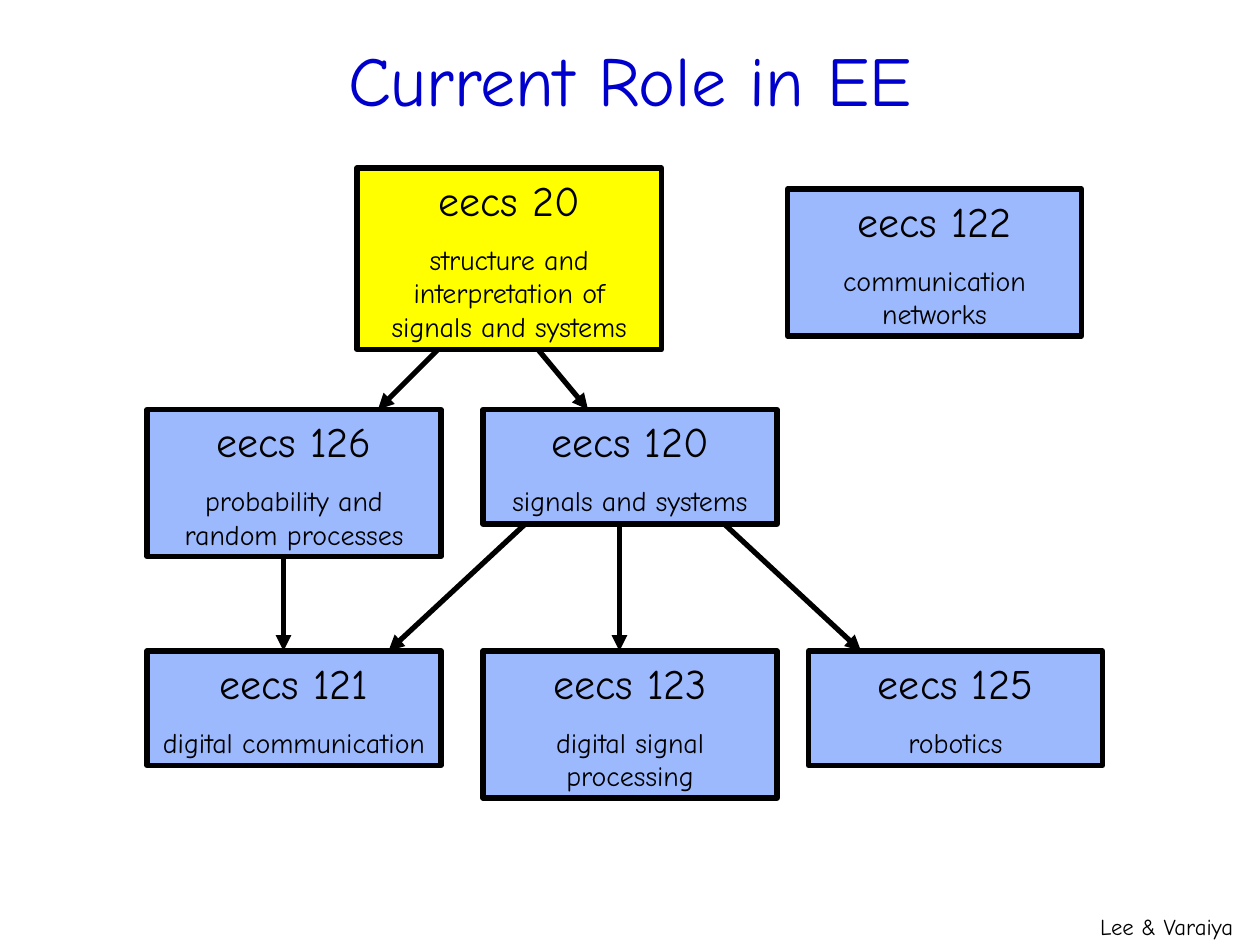
from pptx import Presentation, util as u
from pptx.dml.color import RGBColor
from pptx.enum import shapes, text
from pptx.oxml.ns import qn
from lxml import etree

COLS, ROWS = 120, 90
FONT = "Comic Neue"
BLACK, BLUE, YELLOW, TITLE = "000000", "9DB9FE", "FFFF00", "0000CC"
LEFT, MIDDLE, RIGHT = 14, 46, 77
TOP, SECOND, THIRD = 16, 39, 62
WIDTH, ONE_LINE, TWO_LINES, THREE_LINES = 28, 10.9, 14, 17.3

prs = Presentation()
prs.slide_width, prs.slide_height = u.Inches(10), u.Inches(7.5)
s = prs.slides.add_slide(prs.slide_layouts[6])


def color(value):
    return RGBColor.from_string(value)


def place(*box):
    units = (prs.slide_width / COLS, prs.slide_height / ROWS)
    return [round(v * units[i % 2]) for i, v in enumerate(box)]


def write(p, words, size=16, fill=BLACK, align=text.PP_ALIGN.CENTER, before=0):
    p.alignment = align
    p.space_before = u.Pt(before)
    r = p.add_run()
    r.text = words
    r.font.name, r.font.size = FONT, u.Pt(size)
    r.font.color.rgb = color(fill)


def frame(sp, margin_x, margin_y, anchor=text.MSO_ANCHOR.TOP, wrap=True):
    tf = sp.text_frame
    tf.word_wrap, tf.vertical_anchor = wrap, anchor
    tf.margin_left = tf.margin_right = u.Inches(margin_x)
    tf.margin_top = tf.margin_bottom = u.Inches(margin_y)
    return tf


def title(box, words):
    tf = frame(s.shapes.add_textbox(*place(*box)), 0.09, 0.04, text.MSO_ANCHOR.MIDDLE)
    write(tf.paragraphs[0], words, size=40, fill=TITLE)


def credit(box, words):
    tf = frame(s.shapes.add_textbox(*place(*box)), 0.09, 0.05, wrap=False)
    tf.auto_size = text.MSO_AUTO_SIZE.SHAPE_TO_FIT_TEXT
    write(tf.paragraphs[0], words, size=13, align=text.PP_ALIGN.LEFT)


def course(box, number, topic, fill=BLUE):
    sp = s.shapes.add_shape(shapes.MSO_SHAPE.RECTANGLE, *place(*box))
    sp.shadow.inherit = False
    sp.fill.solid()
    sp.fill.fore_color.rgb = color(fill)
    sp.line.color.rgb = color(BLACK)
    sp.line.width = u.Pt(3)
    tf = frame(sp, 0.1, 0.05)
    tf.auto_size = text.MSO_AUTO_SIZE.SHAPE_TO_FIT_TEXT
    write(tf.paragraphs[0], f"eecs {number}", size=24)
    write(tf.add_paragraph(), topic, before=10)


def arrow(*ends):
    c = s.shapes.add_connector(shapes.MSO_CONNECTOR.STRAIGHT, *place(*ends))
    c.line.color.rgb = color(BLACK)
    c.line.width = u.Pt(3)
    etree.SubElement(c.line._get_or_add_ln(), qn("a:tailEnd"), type="triangle")
    etree.SubElement(c._element.spPr, qn("a:effectLst"))


def main():
    credit((103.7, 86.3, 15.8, 3.7), "Lee & Varaiya")
    title((9, 0, 102, 15), "Current Role in EE")

    arrow(42, 33, 36, SECOND)
    arrow(51, 33, 56, SECOND)
    arrow(68, 49, 82, THIRD)
    arrow(27, 53, 27, THIRD)

    course((34, TOP, 29, THREE_LINES), 20,
           "structure and interpretation of signals and systems", YELLOW)
    course((LEFT, THIRD, WIDTH, ONE_LINE), 121, "digital communication")
    course((MIDDLE, THIRD, WIDTH, TWO_LINES), 123, "digital signal processing")

    arrow(51, 49, 37, THIRD)
    arrow(59, 49, 59, THIRD)

    course((MIDDLE, SECOND, WIDTH, ONE_LINE), 120, "signals and systems")
    course((LEFT, SECOND, WIDTH, TWO_LINES), 126, "probability and random processes")
    course((75, 18, WIDTH, TWO_LINES), 122, "communication networks")
    course((RIGHT, THIRD, WIDTH, ONE_LINE), 125, "robotics")

    prs.save("out.pptx")


if __name__ == "__main__":
    main()
